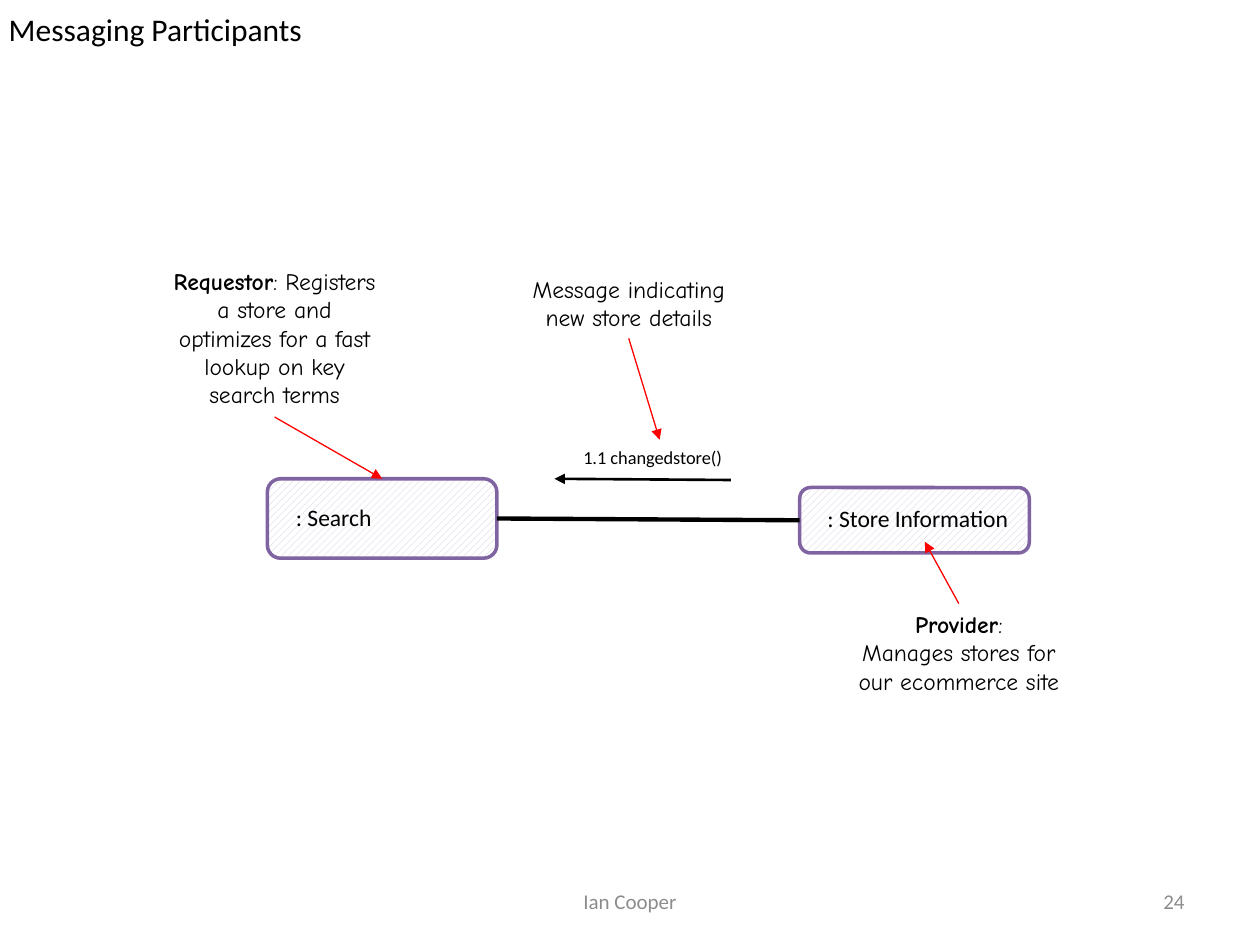
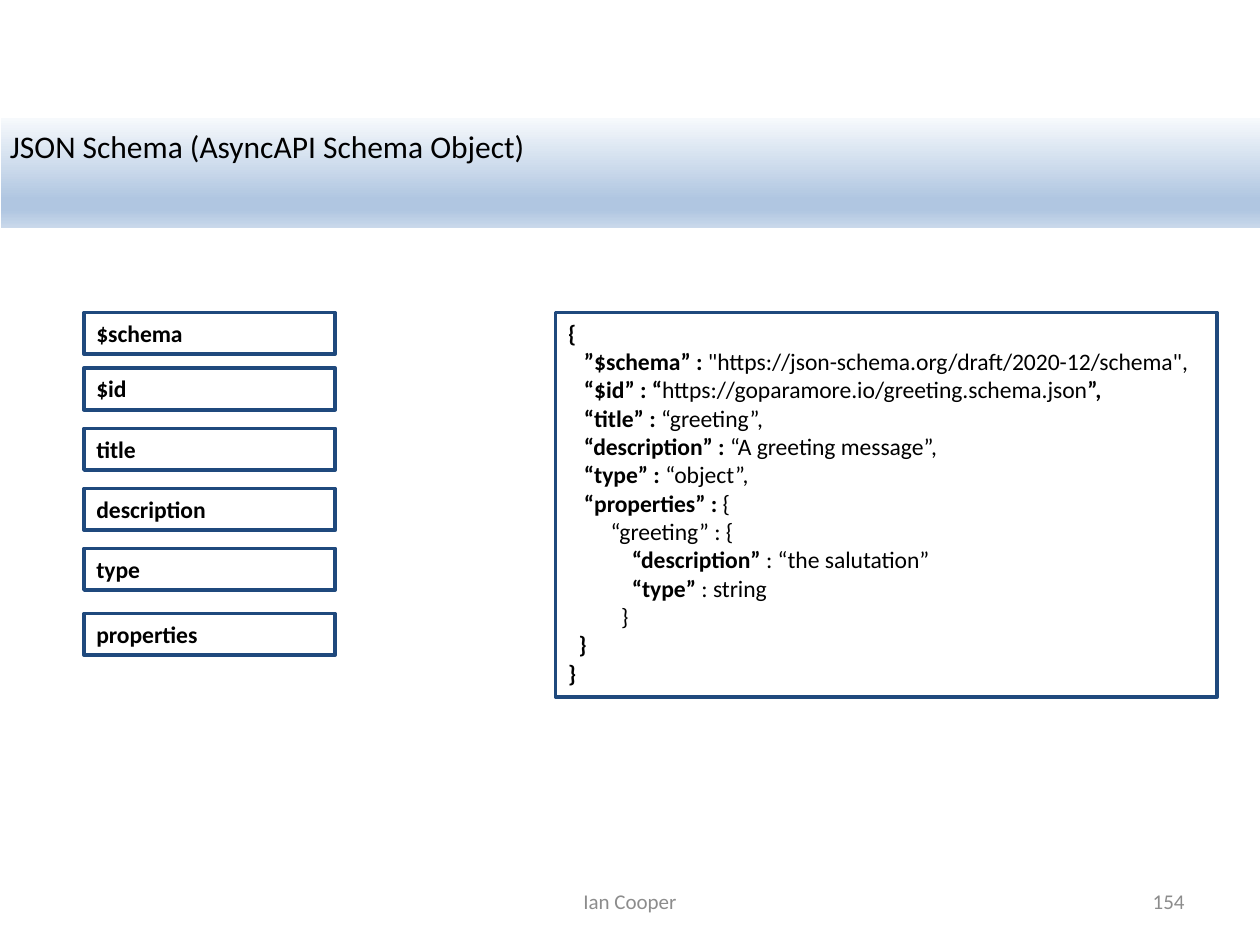
from dataclasses import dataclass

from lxml import etree
from pptx import Presentation
from pptx.dml.color import RGBColor
from pptx.enum import dml, shapes, text
from pptx.oxml.ns import qn
from pptx.util import Pt


@dataclass(frozen=True)
class Theme:
    body_font: str = "Calibri"
    note_font: str = "Comic Neue"
    ink: str = "000000"
    footer_ink: str = "8C8C8C"
    arrow: str = "FF0000"
    node_line: str = "8064A2"
    node_hatch: str = "CCC1DA"
    paper: str = "FFFFFF"
    frame: str = "1F497D"
    band: tuple = ((0, "F6F9FC"), (74, "B0C6E1"), (83, "B0C6E1"), (100, "CAD9EB"))
    title_size: float = 18
    body_size: float = 13.5
    footer_size: float = 12
    message_size: float = 10.5


THEME = Theme()
LEFT, CENTER, RIGHT = text.PP_ALIGN.LEFT, text.PP_ALIGN.CENTER, text.PP_ALIGN.RIGHT
TOP, MIDDLE = text.MSO_ANCHOR.TOP, text.MSO_ANCHOR.MIDDLE


def rgb(value):
    return RGBColor.from_string(value)


def points(*values):
    return [Pt(value) for value in values]


def write(box, lines, size=THEME.body_size, font=THEME.body_font, color=THEME.ink,
          align=LEFT, anchor=TOP, inset=None, grow=True):
    """Fill the box with one paragraph a line; text between asterisks is bold."""
    frame = box.text_frame
    frame.word_wrap = True
    frame.vertical_anchor = anchor
    frame.auto_size = (text.MSO_AUTO_SIZE.SHAPE_TO_FIT_TEXT if grow
                       else text.MSO_AUTO_SIZE.NONE)
    if inset is not None:
        frame.margin_left = frame.margin_right = Pt(inset)
        frame.margin_top = frame.margin_bottom = Pt(inset)
    for index, line in enumerate(lines):
        para = frame.add_paragraph() if index else frame.paragraphs[0]
        para.alignment = align
        for position, part in enumerate(line.split("*")):
            if part:
                span = para.add_run()
                span.text = part
                span.font.name = font
                span.font.size = Pt(size)
                span.font.bold = position % 2 == 1
                span.font.color.rgb = rgb(color)


class SlideBuilder:
    def __init__(self, deck, theme):
        self.deck = deck
        self.theme = theme
        self.slide = None

    def start(self, title, number, place, banded=False):
        self.slide = self.deck.slides.add_slide(self.deck.slide_layouts[5])
        box = self.slide.shapes.title
        box.left, box.top, box.width, box.height = points(*place)
        if banded:
            self.shade(box)
        write(box, [title], size=self.theme.title_size, inset=5)
        footer = dict(size=self.theme.footer_size, color=self.theme.footer_ink,
                      anchor=MIDDLE, grow=False)
        self.label((246, 500.4, 228, 28.8), ["Ian Cooper"], align=CENTER, **footer)
        self.label((516, 500.4, 168, 28.8), [str(number)], align=RIGHT, **footer)

    def shade(self, box):
        """Give the box the vertical band gradient."""
        box.fill.gradient()
        box.fill.gradient_angle = 270
        stops = box._element.spPr.find(qn("a:gradFill")).find(qn("a:gsLst"))
        for stop in list(stops):
            stops.remove(stop)
        for percent, color in self.theme.band:
            stop = etree.SubElement(stops, qn("a:gs"), pos=str(percent * 1000))
            etree.SubElement(stop, qn("a:srgbClr"), val=color)

    def label(self, place, lines, **style):
        box = self.slide.shapes.add_textbox(*points(*place))
        write(box, lines, **style)
        return box

    def note(self, place, lines):
        return self.label(place, lines, font=self.theme.note_font, align=CENTER)

    def outlined(self, kind, place, color):
        box = self.slide.shapes.add_shape(kind, *points(*place))
        box.shadow.inherit = False
        box.line.color.rgb = rgb(color)
        box.line.width = Pt(2)
        return box

    def participant(self, place):
        box = self.outlined(shapes.MSO_SHAPE.ROUNDED_RECTANGLE, place, self.theme.node_line)
        box.fill.patterned()
        box.fill.pattern = dml.MSO_PATTERN.WIDE_UPWARD_DIAGONAL
        box.fill.fore_color.rgb = rgb(self.theme.node_hatch)
        box.fill.back_color.rgb = rgb(self.theme.paper)
        return box

    def framed(self, place, lines):
        box = self.outlined(shapes.MSO_SHAPE.RECTANGLE, place, self.theme.frame)
        box.fill.background()
        write(box, lines)

    def line(self, start, end, color, width, arrow=True):
        """Draw a line; each end is an (x, y) point or a (shape, side) pair."""
        link = self.slide.shapes.add_connector(shapes.MSO_CONNECTOR.STRAIGHT, 0, 0, 0, 0)
        if isinstance(start[0], (int, float)):
            link.begin_x, link.begin_y = points(*start)
        else:
            link.begin_connect(*start)
        if isinstance(end[0], (int, float)):
            link.end_x, link.end_y = points(*end)
        else:
            link.end_connect(*end)
        link.line.color.rgb = rgb(color)
        link.line.width = Pt(width)
        if arrow:
            etree.SubElement(link.line._get_or_add_ln(), qn("a:tailEnd"), type="triangle")
        etree.SubElement(link._element.spPr, qn("a:effectLst"))


def build_participants(page):
    theme = page.theme
    page.start("Messaging Participants", 24, (0, 0.7, 720, 32.4))
    search = page.participant((152.8, 273.6, 131.2, 45.4))
    page.label((162, 283.7, 118.8, 23.8), [": Search"])
    store = page.participant((457, 278.6, 131.2, 37.4))
    page.label((465.8, 284.4, 122.4, 23.8), [": Store Information"])
    page.line((search, 3), (store, 1), theme.ink, 2.5, arrow=False)
    page.line((417.6, 274.3), (316.8, 273.6), theme.ink, 1.5)
    message = page.label((326.2, 251.3, 101.5, 20.2), ["1.1 changedstore()"],
                         size=theme.message_size)
    provider = page.note((482.4, 344.9, 131, 72.7),
                         ["*Provider*:", "Manages stores for our ecommerce site"])
    requestor = page.note((91.4, 149, 131, 89.3),
                          ["*Requestor*: Registers a store and optimizes for a fast "
                           "lookup on key search terms"])
    details = page.note((293.8, 153.4, 131, 40), ["Message indicating new store details"])
    for start, end in (((provider, 0), (528.5, 309.6)),
                       ((requestor, 2), (search, 0)),
                       ((details, 2), (message, 0))):
        page.line(start, end, theme.arrow, 0.75)


def build_schema(page):
    page.start("JSON Schema (AsyncAPI Schema Object)", 154, (0.7, 67.7, 719.3, 32.4),
               banded=True)
    fields = {"$schema": 178.6, "$id": 210.4, "title": 244.8,
              "description": 279.2, "type": 313.4, "properties": 350.6}
    for name, top in fields.items():
        page.framed((48, top, 143.6, 23.8), [f"*{name}*"])
    page.framed((317.5, 178.6, 378, 219.8), [
        "*{*",
        '*   ”$schema” : *"https://json-schema.org/draft/2020-12/schema",',
        "*   “$id” : “*https://goparamore.io/greeting.schema.json*”,*",
        "*   “title” : *“greeting”,",
        "*   “description” : *“A greeting message”,",
        "*   “type” : *“object”,",
        "*   “properties” : *{",
        "        “greeting” : {",
        "            *“description”* : “the salutation”",
        "            *“type”* : string",
        "          }",
        "*  }*",
        "*}*",
    ])


def main():
    deck = Presentation()
    deck.slide_width, deck.slide_height = points(720, 540)
    page = SlideBuilder(deck, THEME)
    build_participants(page)
    build_schema(page)
    deck.save("out.pptx")


if __name__ == "__main__":
    main()
